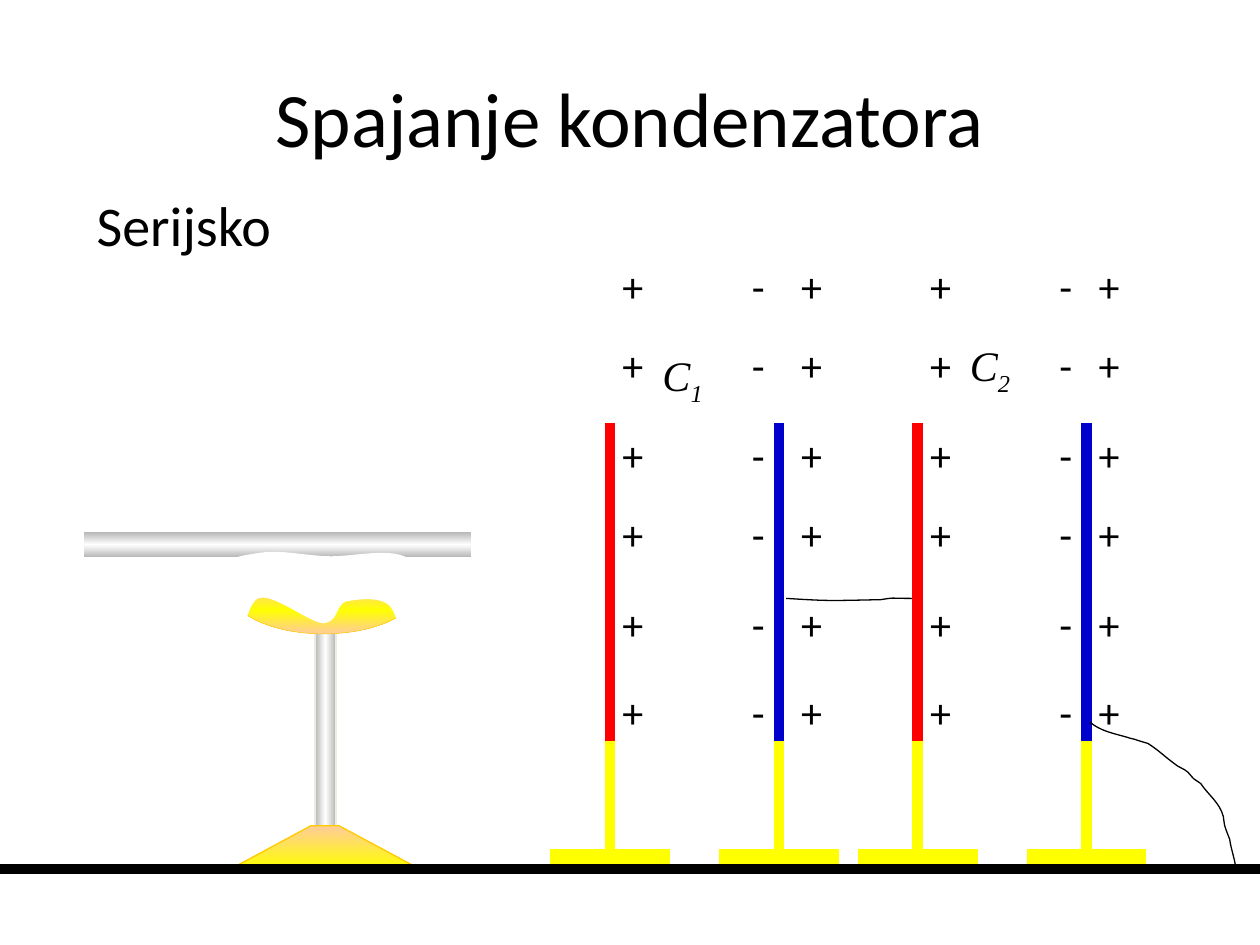
from copy import deepcopy
from itertools import product
from lxml.etree import SubElement
from pptx import Presentation
from pptx.dml.color import RGBColor
from pptx.enum.shapes import MSO_CONNECTOR, MSO_SHAPE
from pptx.enum.text import MSO_ANCHOR, MSO_AUTO_SIZE, PP_ALIGN
from pptx.oxml.ns import qn
from pptx.util import Pt

BLACK, WHITE, RED, BLUE = "000000", "FFFFFF", "FF0000", "0000CC"
YELLOW, GOLD, PEACH, GREY = "FFFF00", "FFCC00", "FFCC99", "FFFFFF 46275"
STEEL = [GREY, WHITE, GREY]
TOP, FOOT, FLOOR = 241.9, 423.2, 496.6
ROWS = [145.2, 190.6, 241.9, 287.2, 338.2, 388.9]
PAIRS = [(348.6, 445.1, 450.7), (524.4, 620.9, 620.8)]

LINK = [(449.3, 342), (473, 343.4), (471.6, 343.4), (503.3, 342.7),
        (512.6, 341.3), (506.2, 342), (521.3, 342)]
EARTH = [(622.8, 412.6), (628.6, 417.6), (635.8, 419), (643.7, 421.2),
         (645.1, 421.9), (646.6, 421.9), (648.7, 422.6),
         (650.9, 423.4), (655.9, 424.8), (655.9, 424.8),
         (661.7, 428.4), (666, 432.7), (671, 436.3),
         (673.2, 438.5), (676.8, 439.2), (679, 441.4),
         (683.3, 446.4), (681.1, 444.2), (686.2, 447.8),
         (690.5, 454.3), (697, 458.6), (699.1, 466.6),
         (699.1, 468.7), (699.8, 470.2), (699.8, 471.6),
         (700.6, 474.5), (702.7, 479.5), (702.7, 479.5),
         (703.4, 485.3), (706.3, 492.5), (706.3, 498.2)]
BOWL = [(131.8, 341.3), (137.5, 353.5), (159.1, 362.2), (185, 362.2),
        (213.8, 362.2), (237.6, 351.4), (239.8, 337), (185, 334.8)]
MASK = [(134.6, 365), (131, 362.9), (122.4, 335.5), (124.6, 326.9),
        (127.4, 319), (139.7, 317.5), (149.8, 316.1),
        (160.6, 314.6), (172.1, 317.5), (186.5, 318.2),
        (200.9, 319), (226.1, 311.8), (235.4, 321.1),
        (245.5, 329.8), (245.5, 362.9), (244.8, 371.5),
        (244.8, 379.4), (236.9, 375.1), (232.6, 370.8),
        (229, 366.5), (228.2, 349.9), (221.8, 344.9),
        (216, 340.6), (203.8, 342), (197.3, 343.4),
        (191.5, 345.6), (193, 355.7), (184.3, 355.7),
        (176.4, 355), (157, 339.1), (148.3, 341.3),
        (140.4, 342.7), (139, 367.2), (134.6, 365)]
BASE = [(177.8, 471.8), (131.8, FLOOR), (239.8, FLOOR), (193.7, 471.8)]


def tint(code):
    return RGBColor.from_string(code)


def blend(shape, hues, angle=None):
    grad = SubElement(shape._element.spPr, qn("a:gradFill"), rotWithShape="1")
    stops = SubElement(grad, qn("a:gsLst"))
    for i, hue in enumerate(hues):
        stop = SubElement(stops, qn("a:gs"), pos=str(i * 100000 // (len(hues) - 1)))
        code, *shade = hue.split()
        color = SubElement(stop, qn("a:srgbClr"), val=code)
        for share in shade:
            SubElement(color, qn("a:shade"), val=share)
    if angle is None:
        way = SubElement(grad, qn("a:path"), path="shape")
        SubElement(way, qn("a:fillToRect"), dict.fromkeys("ltrb", "50000"))
    else:
        SubElement(grad, qn("a:lin"), ang=str(angle * 60000), scaled="1")


def paint(shape, fill, line, width=0.75, angle=None):
    if isinstance(fill, list):
        blend(shape, fill, angle)
    elif fill:
        shape.fill.solid()
        shape.fill.fore_color.rgb = tint(fill)
    else:
        shape.fill.background()
    if line:
        shape.line.color.rgb = tint(line)
        shape.line.width = Pt(width)
    else:
        shape.line.fill.background()
    shape.shadow.inherit = False


def block(slide, box, fill, line=None, angle=None):
    shape = slide.shapes.add_shape(MSO_SHAPE.RECTANGLE, *map(Pt, box))
    paint(shape, fill, line, angle=angle)


def outline(slide, knots, close=True):
    knots = [(x * 100, y * 100) for x, y in knots]
    pen = slide.shapes.build_freeform(*knots[0], scale=Pt(0.01))
    pen.add_line_segments(knots[1:], close=close)
    return pen.convert_to_shape()


def bend(shape):
    track = shape._element.spPr.find(".//" + qn("a:path"))
    legs = track.findall(qn("a:lnTo"))
    for i in range(0, len(legs) - 2, 3):
        curve = SubElement(track, qn("a:cubicBezTo"))
        legs[i].addprevious(curve)
        for leg in legs[i:i + 3]:
            curve.append(leg[0])
            track.remove(leg)
    return track


def wire(slide, knots):
    shape = outline(slide, knots, False)
    bend(shape)
    paint(shape, None, BLACK)


def bowl(slide, knots, hues):
    shape = outline(slide, knots)
    body = bend(shape)
    rim = deepcopy(body)
    for part in rim.findall(qn("a:lnTo")) + rim.findall(qn("a:close")):
        rim.remove(part)
    rim.set("fill", "none")
    body.set("stroke", "0")
    body.addprevious(rim)
    paint(shape, hues, GOLD, 0.25)


def rule(slide, x1, y1, x2, y2, hue):
    line = slide.shapes.add_connector(MSO_CONNECTOR.STRAIGHT, *map(Pt, (x1, y1, x2, y2)))
    line.line.color.rgb = tint(hue)
    line.line.width = Pt(6)
    SubElement(line._element.spPr, qn("a:effectLst"))


def style(run, size, face="Calibri"):
    run.font.size = Pt(size)
    run.font.name = face
    run.font.color.rgb = tint(BLACK)


def label(slide, box, text, size=24, face="Calibri", sub=None):
    frame = slide.shapes.add_textbox(*map(Pt, box)).text_frame
    frame.word_wrap = False
    frame.auto_size = MSO_AUTO_SIZE.SHAPE_TO_FIT_TEXT
    frame.text = text
    para = frame.paragraphs[0]
    if sub:
        low = para.add_run()
        low.text = sub
        low._r.get_or_add_rPr().set("baseline", "-25000")
    for run in para.runs:
        style(run, size, face)
        if sub:
            run.font.italic = True


def head(slide, text):
    title = slide.shapes.title
    title.left, title.top, title.width, title.height = map(Pt, (36, 21.6, 648, 90))
    frame = title.text_frame
    frame.text = text
    frame.vertical_anchor = MSO_ANCHOR.MIDDLE
    frame.paragraphs[0].alignment = PP_ALIGN.CENTER
    style(frame.paragraphs[0].runs[0], 44)


def stand(slide):
    block(slide, (48, 304, 221, 14.6), STEEL, angle=90)
    bowl(slide, [(185 + (x - 185) * 0.78, y) for x, y in BOWL], [WHITE, GREY])
    block(slide, (180, 360, 12, 124.6), STEEL, "EEECE1", 0)
    bowl(slide, BOWL, [YELLOW, PEACH])
    paint(outline(slide, BASE), [PEACH, YELLOW], GOLD, angle=90)
    mask = outline(slide, MASK)
    bend(mask)
    paint(mask, WHITE, WHITE)


def plate(slide, x, hue):
    for shade in (BLACK, hue):
        rule(slide, x, TOP, x, FOOT, shade)
    rule(slide, x, FOOT, x, FLOOR, YELLOW)
    block(slide, (x - 33.8, 485.3, 67.7, 11.5), YELLOW, YELLOW)


def signs(slide, left, right, outer):
    marks = [(left, "+", 26.6), (right - 22.6, "-", 22.3), (outer, "+", 26.6)]
    for (x, mark, width), y in product(marks, ROWS):
        label(slide, (x, y, width, 36.4), mark)


def main():
    deck = Presentation()
    deck.slide_width, deck.slide_height = Pt(720), Pt(540)
    slide = deck.slides.add_slide(deck.slide_layouts[5])
    head(slide, "Spajanje kondenzatora")
    wire(slide, LINK)
    stand(slide)
    for left, right, outer in PAIRS:
        plate(slide, left, RED)
        plate(slide, right, BLUE)
        signs(slide, left, right, outer)
    wire(slide, EARTH)
    rule(slide, 0, FLOOR, 720, FLOOR, BLACK)
    label(slide, (48.2, 105.5, 115.2, 46.1), "Serijsko", 32)
    for x, y, sub in ((371.5, 196.3, "1"), (547.2, 190.5, "2")):
        label(slide, (x, y, 38.2, 36), "C", face="Times New Roman", sub=sub)
    deck.save("out.pptx")


if __name__ == "__main__":
    main()
